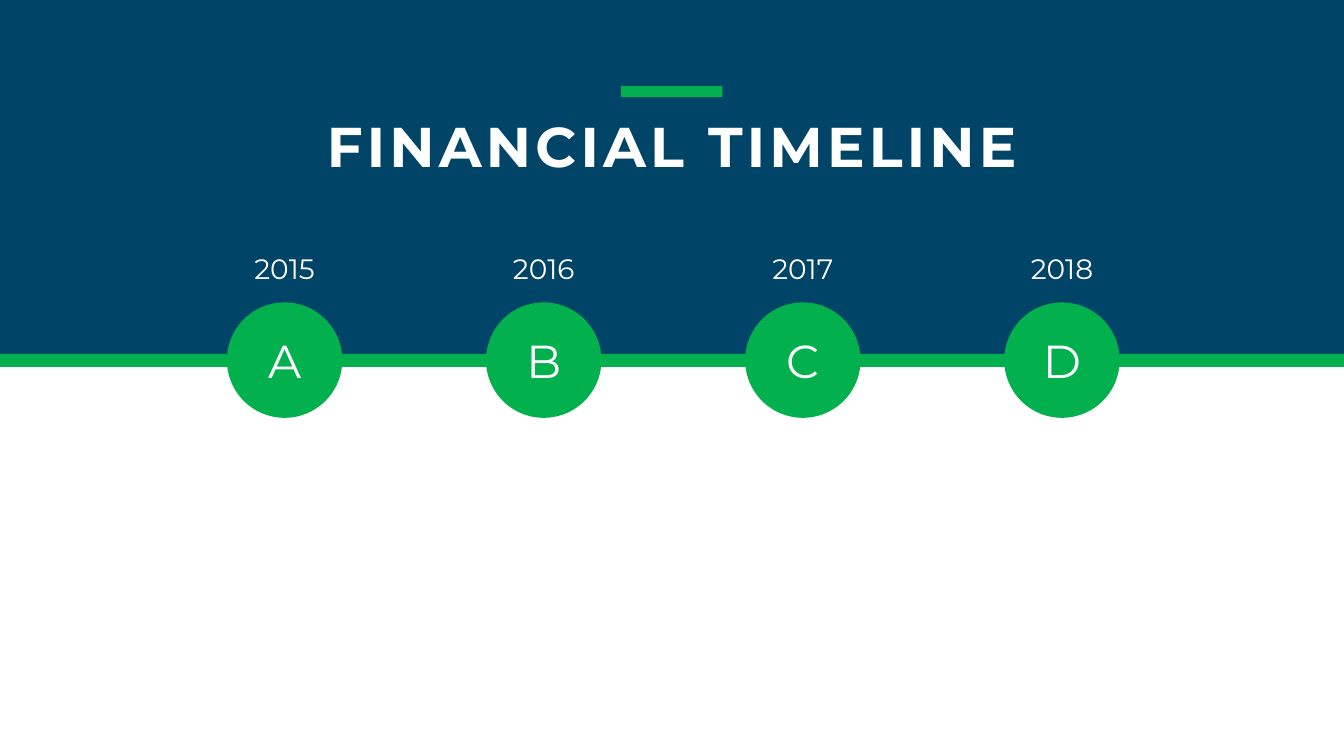
import pptx
import pptx.util
import pptx.dml.color
import pptx.enum.shapes
import pptx.enum.text

TITLE = "FINANCIAL TIMELINE"
STEPS = [("2015", "A"), ("2016", "B"), ("2017", "C"), ("2018", "D")]

THEME = {
    "font": "Montserrat",
    "navy": "004467", "green": "03B04E", "white": "FFFFFF",
    "title": 80, "year": 40, "letter": 66,
}
WIDTH, HEIGHT = 26.66, 15
BAND = 7.28
RAIL = 0.26
DOT = 2.29
DOT_TOP = 6
FIRST = 4.5
PITCH = 5.14
YEAR_W = 2.36

Inches = pptx.util.Inches
Kind = pptx.enum.shapes.MSO_SHAPE


def tint(name):
    return pptx.dml.color.RGBColor.from_string(THEME[name])


def draw(slide, kind, box, color):
    shape = slide.shapes.add_shape(kind, *map(Inches, box))
    shape.shadow.inherit = False
    shape.fill.solid()
    shape.fill.fore_color.rgb = tint(color)
    shape.line.fill.background()
    return shape


def write(shape, text, size, bold=False):
    """Put one centred white line into the shape."""
    frame = shape.text_frame
    frame.text = text
    frame.word_wrap = True
    frame.auto_size = pptx.enum.text.MSO_AUTO_SIZE.NONE
    frame.vertical_anchor = pptx.enum.text.MSO_ANCHOR.MIDDLE
    line = frame.paragraphs[0]
    line.alignment = pptx.enum.text.PP_ALIGN.CENTER
    line.line_spacing = 1.0
    run = line.runs[0]
    run.font.name = THEME["font"]
    run.font.size = pptx.util.Pt(THEME[size])
    run.font.bold = bold
    run.font.color.rgb = tint("white")
    return run


def place(shape, box):
    shape.left, shape.top, shape.width, shape.height = map(Inches, box)


def main():
    deck = pptx.Presentation()
    deck.slide_width, deck.slide_height = Inches(WIDTH), Inches(HEIGHT)
    slide = deck.slides.add_slide(deck.slide_layouts[5])
    slide.background.fill.solid()
    slide.background.fill.fore_color.rgb = tint("white")

    draw(slide, Kind.RECTANGLE, (0, 0, WIDTH, BAND), "navy")
    draw(slide, Kind.RECTANGLE, (0, BAND - RAIL, WIDTH, RAIL), "green")

    for i, (year, letter) in enumerate(STEPS):
        left = FIRST + i * PITCH
        label = slide.shapes.add_textbox(
            *map(Inches, (left + (DOT - YEAR_W) / 2, 4.94, YEAR_W, 0.77)))
        write(label, year, "year")
        dot = draw(slide, Kind.OVAL, (left, DOT_TOP, DOT, DOT), "green")
        write(dot, letter, "letter")

    title = slide.shapes.title
    place(title, (4.33, 2.15, 18.01, 1.45))
    run = write(title, TITLE, "title", bold=True)
    run.font._element.set("spc", "600")
    # Bring the title in front of the band
    slide.shapes._spTree.append(title._element)
    draw(slide, Kind.RECTANGLE, (12.32, 1.71, 2.01, 0.22), "green")

    deck.save("out.pptx")


if __name__ == "__main__":
    main()
